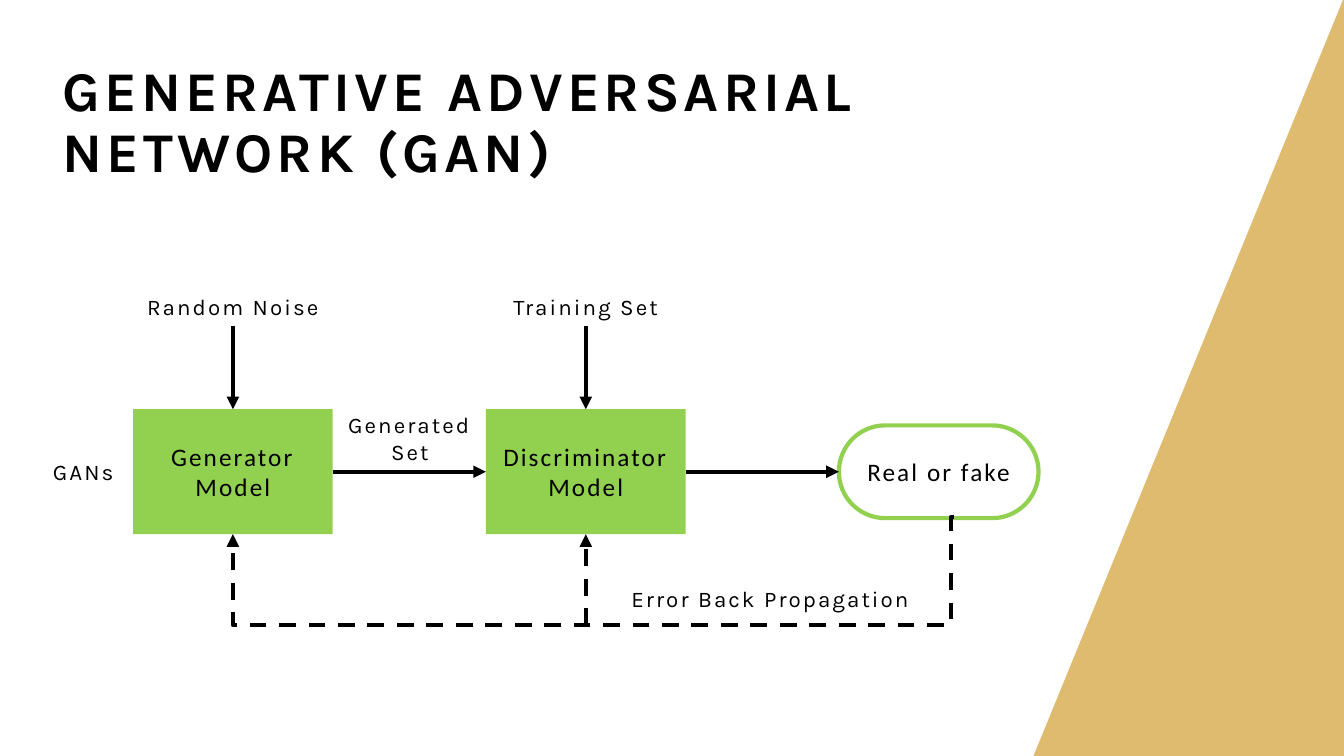
from dataclasses import dataclass

import pptx
import pptx.dml.color
import pptx.enum.dml
import pptx.enum.shapes
import pptx.enum.text
import pptx.oxml
import pptx.oxml.ns
import pptx.util

SCALE = 9144  # EMU per px, 100 px to the inch
COLORS = {"ink": "000000", "green": "92D050", "gold": "D8AB4C", "paper": "FFFFFF"}
BOX_W, BOX_H = 198, 124
BOX_Y = 406
MID_Y = BOX_Y + BOX_H // 2
GEN_X, DISC_X, OUT_X = 132, 482, 832
GEN_MID, DISC_MID = GEN_X + BOX_W // 2, DISC_X + BOX_W // 2
LOOP_Y = 620

qn = pptx.oxml.ns.qn
KIND = pptx.enum.shapes.MSO_SHAPE
WIRE = pptx.enum.shapes.MSO_CONNECTOR
ANCHOR = pptx.enum.text.MSO_ANCHOR
ALIGN = pptx.enum.text.PP_ALIGN


@dataclass(frozen=True)
class Node:
    text: str
    x: int
    y: int
    w: int
    h: int
    shape: KIND = KIND.RECTANGLE


@dataclass(frozen=True)
class Label:
    text: str
    x: int
    y: int
    w: int
    h: int = 37


@dataclass(frozen=True)
class Flow:
    """A straight arrow between named items, with their side numbers."""
    start: str
    out: int
    end: str
    into: int


NODES = [
    Node("Generator Model", GEN_X, BOX_Y, BOX_W, BOX_H),
    Node("Discriminator Model", DISC_X, BOX_Y, BOX_W, BOX_H),
    Node("Real or fake", OUT_X, MID_Y - 46, BOX_W, 92, KIND.ROUNDED_RECTANGLE),
]
LABELS = [
    Label("Random Noise", GEN_MID - 108, 286, 216),
    Label("Training Set", DISC_MID - 108, 286, 216),
    Label("Error Back Propagation", 601, 575, 326),
    Label("Generated Set", 317, 403, 179, 64),
    Label("GANs", 40, 449, 85),
]
FLOWS = [
    Flow("Random Noise", 2, "Generator Model", 0),
    Flow("Training Set", 2, "Discriminator Model", 0),
    Flow("Generator Model", 3, "Discriminator Model", 1),
    Flow("Discriminator Model", 3, "Real or fake", 1),
]


def px(n: int) -> pptx.util.Emu:
    return pptx.util.Emu(n * SCALE)


def rgb(name: str) -> pptx.dml.color.RGBColor:
    return pptx.dml.color.RGBColor.from_string(COLORS[name])


def write(shape, text: str, face: str, size: int, gap: int = 150):
    """Put one paragraph in a shape; gap is letter spacing in 1/100 pt."""
    frame = shape.text_frame
    frame.word_wrap = True
    frame.vertical_anchor = ANCHOR.MIDDLE
    para = frame.paragraphs[0]
    para.text = text
    para.alignment = ALIGN.CENTER
    font = para.font
    font.name, font.size = face, pptx.util.Pt(size)
    font.color.rgb = rgb("ink")
    para._p.pPr.defRPr.set("spc", str(gap))
    return para


def draw_band(slide) -> None:
    pen = slide.shapes.build_freeform(1332, 0, scale=SCALE)
    pen.add_line_segments([(1333, 0), (1333, 750), (1025, 750)])
    band = pen.convert_to_shape()
    band.shadow.inherit = False
    band.line.fill.background()
    band.fill.solid()
    band.fill.fore_color.rgb = rgb("gold")
    color = band._element.spPr.find(".//" + qn("a:srgbClr"))
    color.append(pptx.oxml.parse_xml(
        f'<a:alpha {pptx.oxml.ns.nsdecls("a")} val="80000"/>'))


def draw_title(slide) -> None:
    box = slide.shapes.add_textbox(px(52), px(43), px(1003), px(145))
    para = write(box, "GENERATIVE ADVERSARIAL NETWORK (GAN)", "Karla", 40, 300)
    box.text_frame.vertical_anchor = ANCHOR.BOTTOM
    para.alignment = ALIGN.LEFT
    para.line_spacing = 0.9
    para.font.bold = True


def draw_node(slide, node: Node):
    shape = slide.shapes.add_shape(
        node.shape, px(node.x), px(node.y), px(node.w), px(node.h))
    shape.shadow.inherit = False
    if node.shape == KIND.ROUNDED_RECTANGLE:
        shape.adjustments[0] = 0.5
        shape.fill.background()
        shape.line.color.rgb = rgb("green")
        shape.line.width = pptx.util.Pt(3)
    else:
        shape.fill.solid()
        shape.fill.fore_color.rgb = rgb("green")
        shape.line.fill.background()
    write(shape, node.text, "Calibri", 18)
    return shape


def draw_label(slide, label: Label):
    box = slide.shapes.add_textbox(
        px(label.x), px(label.y), px(label.w), px(label.h))
    write(box, label.text, "Karla", 16)
    box.text_frame.auto_size = pptx.enum.text.MSO_AUTO_SIZE.SHAPE_TO_FIT_TEXT
    return box


def draw_arrow(slide, kind: WIRE, x1: int, y1: int, x2: int, y2: int,
               dash: bool = False):
    wire = slide.shapes.add_connector(kind, px(x1), px(y1), px(x2), px(y2))
    wire.line.color.rgb = rgb("ink")
    wire.line.width = pptx.util.Pt(3)
    if dash:
        wire.line.dash_style = pptx.enum.dml.MSO_LINE.DASH
    props = wire._element.spPr
    names = pptx.oxml.ns.nsdecls("a")
    props.find(qn("a:ln")).append(
        pptx.oxml.parse_xml(f'<a:tailEnd {names} type="triangle"/>'))
    props.append(pptx.oxml.parse_xml(f"<a:effectLst {names}/>"))
    return wire


def draw_loop(slide, nodes: dict) -> None:
    """Draw the dashed feedback path and its branch to the discriminator."""
    x, top, base = 946, 513, BOX_Y + BOX_H
    loop = draw_arrow(slide, WIRE.ELBOW, x, top, GEN_MID, base, True)
    geom = loop._element.spPr.find(qn("a:prstGeom"))
    geom.set("prst", "bentConnector4")
    turns = geom.find(qn("a:avLst"))
    drop = round(100000 * (LOOP_Y - top) / (base - top))
    for name, value in (("adj1", 400), ("adj2", drop)):
        turns.append(pptx.oxml.parse_xml(
            f'<a:gd {pptx.oxml.ns.nsdecls("a")} name="{name}" fmla="val {value}"/>'))
    branch = draw_arrow(
        slide, WIRE.STRAIGHT, DISC_MID, LOOP_Y, DISC_MID, base, True)
    branch.end_connect(nodes["Discriminator Model"], 2)


def main() -> None:
    deck = pptx.Presentation()
    deck.slide_width, deck.slide_height = px(1333), px(750)
    slide = deck.slides.add_slide(deck.slide_layouts[6])
    slide.background.fill.solid()
    slide.background.fill.fore_color.rgb = rgb("paper")
    draw_band(slide)
    draw_title(slide)
    items = {node.text: draw_node(slide, node) for node in NODES}
    items |= {label.text: draw_label(slide, label) for label in LABELS}
    draw_loop(slide, items)
    for flow in FLOWS:
        wire = draw_arrow(slide, WIRE.STRAIGHT, 0, 0, 0, 0)
        wire.begin_connect(items[flow.start], flow.out)
        wire.end_connect(items[flow.end], flow.into)
    deck.save("out.pptx")


if __name__ == "__main__":
    main()
